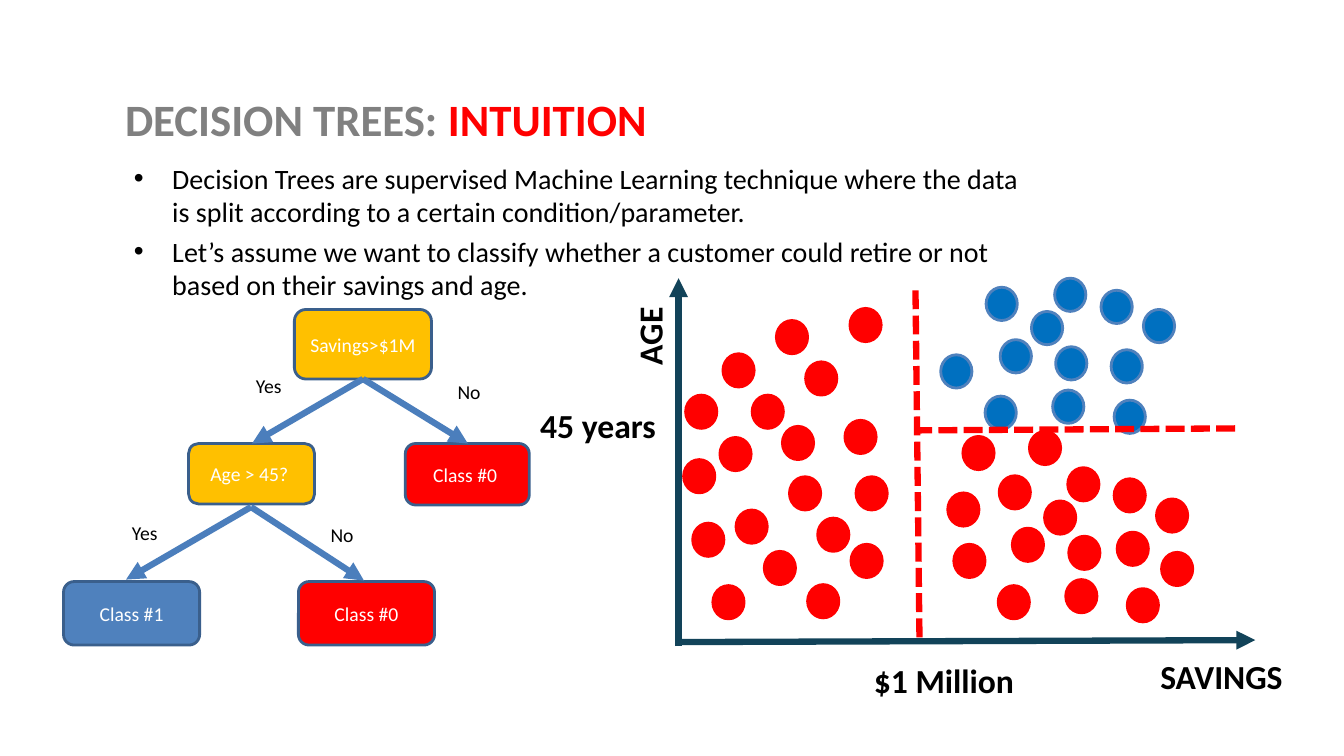
from dataclasses import dataclass

from lxml.etree import SubElement
from pptx import Presentation
from pptx.dml.color import RGBColor
from pptx.enum.dml import MSO_LINE_DASH_STYLE as Dash
from pptx.enum.shapes import MSO_AUTO_SHAPE_TYPE as Preset, MSO_CONNECTOR_TYPE as Link
from pptx.enum.text import MSO_ANCHOR as Anchor, PP_ALIGN as Align
from pptx.oxml.ns import qn
from pptx.shapes.autoshape import Shape
from pptx.slide import Slide
from pptx.util import Inches, Pt

FONT = "Calibri"
COLORS = {
    "black": "000000",
    "white": "FFFFFF",
    "grey": "808080",
    "red": "FF0000",
    "amber": "FFC000",
    "blue": "4F81BD",
    "deep blue": "0070C0",
    "node edge": "3A5F8C",
    "branch": "4B7EBC",
    "axis": "124359",
}
DOT_WIDTH, DOT_HEIGHT = 0.31, 0.33


@dataclass(frozen=True)
class Node:
    text: str
    left: float
    top: float
    width: float
    height: float
    fill: str


@dataclass(frozen=True)
class Label:
    text: str
    left: float
    top: float
    width: float
    height: float = 0.5
    size: int = 24
    bold: bool = True
    rotation: int = 0


@dataclass(frozen=True)
class Line:
    start: tuple[float, float]
    end: tuple[float, float]
    color: str
    dashed: bool = False


@dataclass(frozen=True)
class Cluster:
    fill: str
    edge: str
    corners: list[tuple[float, float]]


TITLE_SPANS = [("DECISION TREES: ", "grey"), ("INTUITION", "red")]
BULLETS = [
    "Decision Trees are supervised Machine Learning technique where the data "
    "is split according to a certain condition/parameter.",
    "Let’s assume we want to classify whether a customer could retire or not "
    "based on their savings and age.",
]
AXES = [
    Line((6.73, 6.37), (12.45, 6.35), "axis"),
    Line((6.73, 6.41), (6.73, 2.76), "axis"),
]
CLUSTERS = [
    Cluster("red", "red", [
        # Savings below $1 million
        (7.3, 5.06), (7.83, 4.73), (8.11, 5.14), (7.14, 4.34), (7.76, 4.23),
        (8.49, 4.73), (7.58, 5.47), (7.17, 3.51), (7.7, 3.18), (7.99, 3.59),
        (6.8, 3.92), (8.43, 3.06), (8.38, 4.17), (7.46, 3.92), (8.44, 5.4),
        (8.01, 5.8), (7.07, 5.81), (6.87, 5.19), (6.78, 4.56),
        # Savings above $1 million, younger than 45
        (10.21, 4.28), (9.55, 4.33), (10.59, 4.64), (9.46, 5.4), (10.04, 5.24),
        (9.4, 4.89), (9.9, 5.81), (10.6, 5.32), (9.91, 4.72), (10.57, 5.75),
        (11.05, 4.75), (11.52, 5.48), (11.18, 5.84), (11.47, 4.95),
        (10.36, 4.97), (11.08, 5.28),
    ]),
    Cluster("deep blue", "blue", [
        (10.46, 2.76), (9.33, 3.52), (9.92, 3.37), (9.77, 3.93), (10.47, 3.44),
        (9.78, 2.85), (10.44, 3.87), (10.92, 2.88), (11.02, 3.47),
        (11.05, 3.97), (11.34, 3.07), (10.23, 3.09),
    ]),
]
SPLITS = [
    Line((9.08, 2.88), (9.12, 6.35), "red", dashed=True),
    Line((12.25, 4.25), (9.08, 4.27), "red", dashed=True),
]
NODES = [
    Node("Savings>$1M", 2.92, 3.07, 1.36, 0.69, "amber"),
    Node("Age > 45? ", 1.87, 4.4, 1.25, 0.6, "amber"),
    Node("Class #0 ", 4.02, 4.4, 1.23, 0.61, "red"),
    Node("Class #1", 0.63, 5.77, 1.35, 0.63, "blue"),
    Node("Class #0", 2.96, 5.77, 1.35, 0.63, "red"),
]
BRANCHES = [
    Line((3.6, 3.76), (2.5, 4.4), "branch"),
    Line((3.6, 3.76), (4.64, 4.4), "branch"),
    Line((2.49, 5.03), (1.25, 5.75), "branch"),
    Line((2.49, 5.03), (3.61, 5.76), "branch"),
]
LABELS = [
    Label("SAVINGS", 11.41, 6.46, 1.43),
    Label("AGE", 6.05, 3.08, 0.78, rotation=270),
    Label("$1 Million", 8.57, 6.5, 1.6),
    Label("45 years", 5.26, 3.97, 1.44),
    Label("Yes", 2.44, 3.66, 0.46, 0.34, 14, False),
    Label("No", 4.44, 3.72, 0.43, 0.34, 14, False),
    Label("Yes", 1.21, 5.12, 0.46, 0.34, 14, False),
    Label("No", 3.18, 5.14, 0.43, 0.34, 14, False),
]


def rgb(name: str) -> RGBColor:
    return RGBColor.from_string(COLORS[name])


def set_font(font, size: int, color: str, bold: bool = False) -> None:
    font.name, font.size, font.bold = FONT, Pt(size), bold
    font.color.rgb = rgb(color)


def add_title(page: Slide) -> None:
    box = page.shapes.add_textbox(Inches(1.17), Inches(0.66), Inches(8.34), Inches(1.09))
    frame = box.text_frame
    frame.word_wrap = True
    frame.vertical_anchor = Anchor.MIDDLE
    frame.margin_left = frame.margin_right = Inches(0.07)
    frame.margin_top = frame.margin_bottom = Inches(0.04)
    para = frame.paragraphs[0]
    para.line_spacing = 0.9
    for text, color in TITLE_SPANS:
        span = para.add_run()
        span.text = text
        set_font(span.font, 32, color, bold=True)


def add_bullets(page: Slide) -> None:
    box = page.shapes.add_textbox(Inches(1.23), Inches(1.55), Inches(9.19), Inches(3.31))
    frame = box.text_frame
    frame.word_wrap = True
    frame.text = "\n".join(BULLETS)
    for para in frame.paragraphs:
        set_font(para.font, 20, "black")
        para.space_before = Pt(4)
        props = para._p.get_or_add_pPr()
        props.set("marL", str(Inches(0.38)))
        props.set("indent", str(Inches(-0.38)))
        bullet_font = SubElement(props, qn("a:buFont"), typeface="Arial")
        bullet_font.addnext(SubElement(props, qn("a:buChar"), char="•"))
        props.append(props.find(qn("a:defRPr")))


def add_line(page: Slide, line: Line) -> None:
    """Draw a dashed split, or a solid line with an arrowhead at its end."""
    points = [Inches(value) for value in (*line.start, *line.end)]
    connector = page.shapes.add_connector(Link.STRAIGHT, *points)
    connector.line.color.rgb = rgb(line.color)
    connector.line.width = Pt(4.5)
    if line.dashed:
        connector.line.dash_style = Dash.SQUARE_DOT
    else:
        SubElement(connector.line._get_or_add_ln(), qn("a:tailEnd"), type="triangle")
    SubElement(connector._element.spPr, qn("a:effectLst"))


def add_filled(page: Slide, preset: Preset, left: float, top: float, width: float,
               height: float, fill: str, edge: str) -> Shape:
    shape = page.shapes.add_shape(
        preset, Inches(left), Inches(top), Inches(width), Inches(height))
    shape.shadow.inherit = False
    shape.fill.solid()
    shape.fill.fore_color.rgb = rgb(fill)
    shape.line.color.rgb = rgb(edge)
    shape.line.width = Pt(2)
    return shape


def add_node(page: Slide, node: Node) -> None:
    shape = add_filled(page, Preset.ROUNDED_RECTANGLE, node.left, node.top,
                       node.width, node.height, node.fill, "node edge")
    frame = shape.text_frame
    frame.vertical_anchor = Anchor.MIDDLE
    frame.text = node.text
    para = frame.paragraphs[0]
    para.alignment = Align.CENTER
    set_font(para.font, 14, "white")


def add_label(page: Slide, label: Label) -> None:
    box = page.shapes.add_textbox(
        Inches(label.left), Inches(label.top), Inches(label.width), Inches(label.height))
    box.rotation = label.rotation
    box.text_frame.word_wrap = False
    box.text_frame.text = label.text
    set_font(box.text_frame.paragraphs[0].font, label.size, "black", label.bold)


def main() -> None:
    deck = Presentation()
    deck.slide_width, deck.slide_height = Inches(13.33), Inches(7.5)
    page = deck.slides.add_slide(deck.slide_layouts[6])
    add_title(page)
    add_bullets(page)
    for axis in AXES:
        add_line(page, axis)
    for cluster in CLUSTERS:
        for left, top in cluster.corners:
            add_filled(page, Preset.OVAL, left, top, DOT_WIDTH, DOT_HEIGHT,
                       cluster.fill, cluster.edge)
    for node in NODES:
        add_node(page, node)
    for line in SPLITS + BRANCHES:
        add_line(page, line)
    for label in LABELS:
        add_label(page, label)
    deck.save("out.pptx")


if __name__ == "__main__":
    main()
